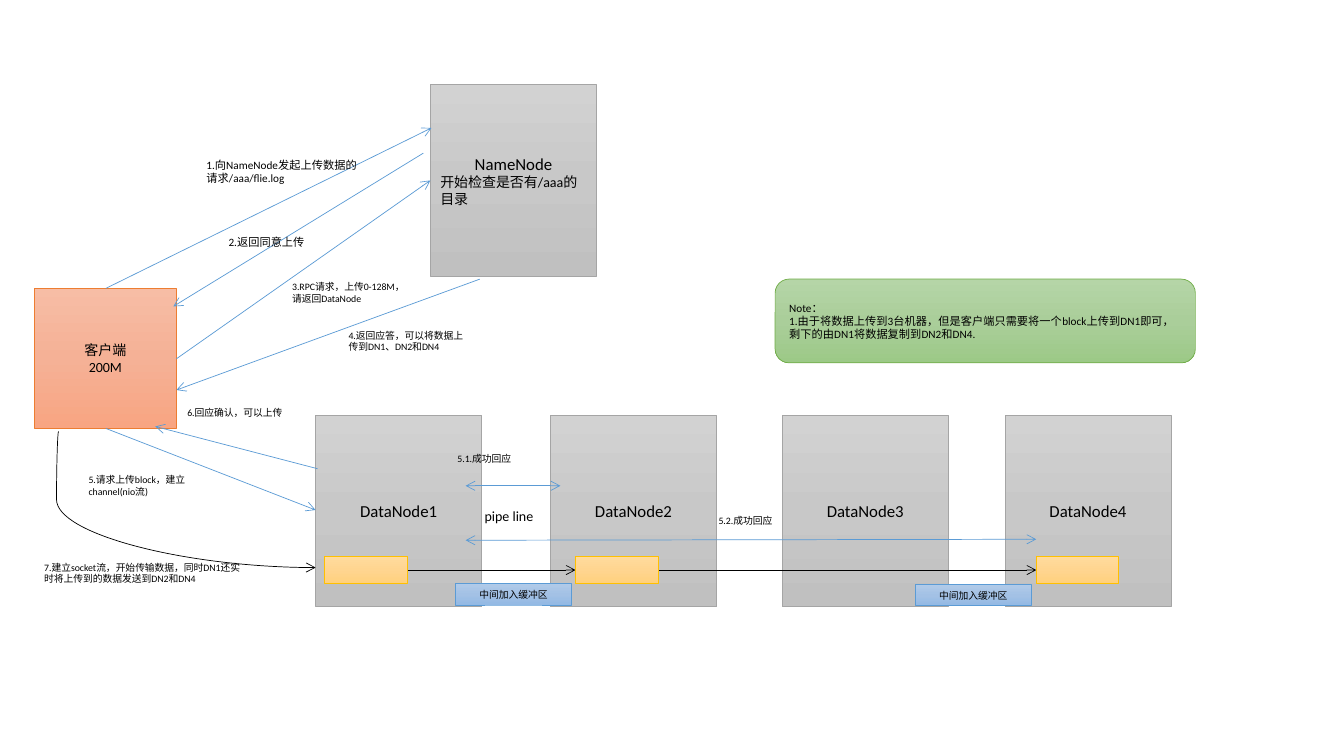
import copy
import pptx
import pptx.util
import pptx.dml.color
import pptx.enum.shapes
import pptx.enum.text
import pptx.oxml.ns
import pptx.oxml.xmlchemy

Pt = pptx.util.Pt
RGB = pptx.dml.color.RGBColor
Kind = pptx.enum.shapes.MSO_SHAPE
Link = pptx.enum.shapes.MSO_CONNECTOR
Align = pptx.enum.text.PP_ALIGN
qn = pptx.oxml.ns.qn
make = pptx.oxml.xmlchemy.OxmlElement

# Content: paragraphs are (text, size, align)
CLIENT = [("客户端", "body", "c"), ("200M", "body", "c")]
NAME = [("NameNode", "head", "c"), ("开始检查是否有/aaa的目录", "body", "l")]
NOTE = [
    ("Note：", "note", "l"),
    ("1.由于将数据上传到3台机器，但是客户端只需要将一个block上传到DN1即可，"
     "剩下的由DN1将数据复制到DN2和DN4.", "note", "l"),
]
BUFFER = [("中间加入缓冲区", "small", "c")]

# Left, top, width, height, size, text
LABELS = [
    (140.4, 109.4, 122.4, 26.6, "note", "1.向NameNode发起上传数据的请求/aaa/flie.log"),
    (156.2, 164.9, 89.3, 16.6, "note", "2.返回同意上传"),
    (201.6, 197.3, 100.8, 24.5, "small", "3.RPC请求，上传0-128M，请返回DataNode"),
    (241.9, 231.8, 100.8, 24.5, "small", "4.返回应答，可以将数据上传到DN1、DN2和DN4"),
    (56.2, 334.8, 100.8, 24.5, "small", "5.请求上传block，建立channel(nio流)"),
    (126.7, 287.3, 100.8, 15.8, "small", "6.回应确认，可以上传"),
    (24.5, 397.4, 160.6, 24.5, "small",
     "7.建立socket流，开始传输数据，同时DN1还实时将上传到的数据发送到DN2和DN4"),
    (339.1, 359.3, 61.9, 19.4, "body", "pipe line"),
    (319.7, 319.7, 59.8, 15.8, "small", "5.1.成功回应"),
    (506.2, 364.3, 59.8, 15.8, "small", "5.2.成功回应"),
]

# From x, y, to x, y
CALLS = [
    (75.6, 206, 308.2, 91.4),
    (302.4, 109.4, 123.8, 218.9),
    (126, 256.3, 307.4, 128.9),
    (342.7, 199.4, 126, 278.6),
    (75.6, 306, 225.4, 364.3),
    (226.8, 334.8, 110.9, 304.6),
]
REPLIES = [(332.6, 347, 400.3, 347), (332.6, 385.9, 740.2, 385.2)]

# Layout
NODE = (118.8, 136.8)
NODE_X, NODE_Y = (225.4, 393.1, 558.7, 717.8), 296.6
CHIP = (59, 19.6)
CHIP_X, CHIP_Y = (231.8, 411.1, 740.2), 397.4
BUFFERS = [(325.4, 417), (653.8, 417.6)]

# Fills are three gradient stops followed by the outline
THEME = {
    "font": "Calibri",
    "ink": "000000",
    "call": "5B9BD5",
    "line": 0.5,
    "size": {"head": 12, "body": 10, "note": 8, "small": 7},
    "orange": ("F7BDA5", "F5B196", "F8A582", "ED7D31"),
    "gray": ("D2D2D2", "C8C8C8", "C0C0C0", "A5A5A5"),
    "green": ("B5D5A7", "AACE9A", "9CC987", "70AD47"),
    "gold": ("FFDB9E", "FFD590", "FFD07C", "FFC000"),
    "blue": ("B1CBE9", "A3C1E5", "93B9E4", "5B9BD5"),
}

deck = pptx.Presentation()
deck.slide_width, deck.slide_height = Pt(960), Pt(540)
slide = deck.slides.add_slide(deck.slide_layouts[6])
shapes = slide.shapes


def write(frame, paras):
    frame.word_wrap = True
    for i, (text, size, align) in enumerate(paras):
        para = frame.paragraphs[0] if i == 0 else frame.add_paragraph()
        para.text = text
        para.alignment = Align.CENTER if align == "c" else Align.LEFT
        para.font.name = THEME["font"]
        para.font.size = Pt(THEME["size"][size])
        para.font.color.rgb = RGB.from_string(THEME["ink"])


def box(x, y, w, h, tone, paras=(), kind=Kind.RECTANGLE):
    shape = shapes.add_shape(kind, Pt(x), Pt(y), Pt(w), Pt(h))
    shape.shadow.inherit = False
    *shades, edge = THEME[tone]
    shape.fill.gradient()
    shape.fill.gradient_angle = 270
    stops = shape._element.spPr.find(qn("a:gradFill")).find(qn("a:gsLst"))
    stops.insert(1, copy.deepcopy(stops[0]))
    for stop, shade, place in zip(shape.fill.gradient_stops, shades, (0, 0.5, 1)):
        stop.color.rgb = RGB.from_string(shade)
        stop.position = place
    shape.line.color.rgb = RGB.from_string(edge)
    shape.line.width = Pt(THEME["line"])
    shape.text_frame.vertical_anchor = pptx.enum.text.MSO_ANCHOR.MIDDLE
    write(shape.text_frame, paras)


def arrow(ends, tone, kind=Link.STRAIGHT, both=False):
    line = shapes.add_connector(kind, *map(Pt, ends))
    line.line.color.rgb = RGB.from_string(THEME[tone])
    line.line.width = Pt(THEME["line"])
    props = line._element.spPr
    for tag in ("a:headEnd", "a:tailEnd") if both else ("a:tailEnd",):
        tip = make(tag)
        tip.set("type", "arrow")
        props.find(qn("a:ln")).append(tip)
    props.append(make("a:effectLst"))
    return line


# Client, nodes and note
box(24.5, 206, 101.5, 100, "orange", CLIENT)
box(307.4, 60.5, *NODE, "gray", NAME)
for i, x in enumerate(NODE_X, 1):
    box(x, NODE_Y, *NODE, "gray", [(f"DataNode{i}", "head", "c")])
box(553.7, 199.4, 300.2, 59.8, "green", NOTE, Kind.ROUNDED_RECTANGLE)

# Requests and replies
for ends in CALLS:
    arrow(ends, "call")
for ends in REPLIES:
    arrow(ends, "call", both=True)

# Data stream: client to the first node, then chip to chip
stream = arrow((41.8, 308.2, 225.4, 405.4), "ink", Link.CURVE)
bend = make("a:gd")
bend.set("name", "adj1")
bend.set("fmla", "val -800")
stream._element.spPr.find(qn("a:prstGeom")).get_or_add_avLst().append(bend)
mid = CHIP_Y + CHIP[1] / 2
for x, goal in zip(CHIP_X, CHIP_X[1:]):
    arrow((x + CHIP[0], mid, goal, mid), "ink", Link.CURVE)
for x in CHIP_X:
    box(x, CHIP_Y, *CHIP, "gold")
for x, y in BUFFERS:
    box(x, y, 82.8, 15.2, "blue", BUFFER)

# Step labels
for x, y, w, h, size, text in LABELS:
    label = shapes.add_textbox(Pt(x), Pt(y), Pt(w), Pt(h))
    write(label.text_frame, [(text, size, "l")])

deck.save("out.pptx")
